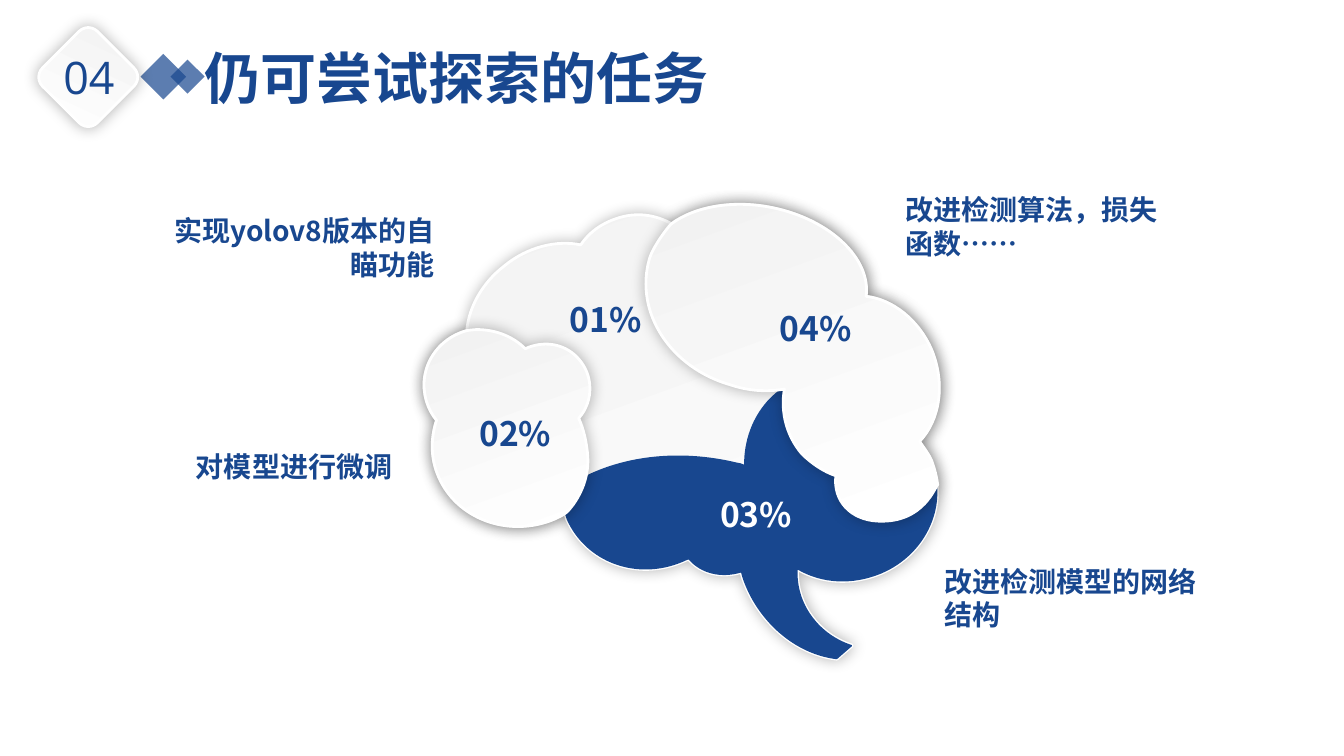
from dataclasses import dataclass

from lxml import etree
from pptx import Presentation
from pptx.dml.color import RGBColor
from pptx.enum.shapes import MSO_SHAPE
from pptx.enum.text import MSO_AUTO_SIZE, PP_ALIGN
from pptx.oxml.ns import qn
from pptx.util import Pt

PX = 9144
RECT, ROUND = MSO_SHAPE.RECTANGLE, MSO_SHAPE.ROUNDED_RECTANGLE
LEFT, MID, RIGHT = PP_ALIGN.LEFT, PP_ALIGN.CENTER, PP_ALIGN.RIGHT
GROW = MSO_AUTO_SIZE.SHAPE_TO_FIT_TEXT


@dataclass(frozen=True)
class Theme:
    blue: str = "18478F"
    white: str = "FFFFFF"
    pale: str = "F2F2F2"
    shade: str = "000000"
    han: str = "Noto Sans CJK SC"
    digit: str = "Noto Sans CJK KR"
    latin: str = "Open Sans"
    title: int = 40
    badge: int = 32
    value: int = 24
    note: int = 20
    edge: int = 2


T = Theme()

VIEW = (419, 198, 523, 456)
LOBE = [(932, 417, 938, 381, 924, 347), (911, 317, 885, 297, 859, 294),
        (864, 257, 824, 218, 766, 206), (727, 198, 689, 205, 666, 222)]
CROWN = [(650, 213, 631, 210, 611, 217), (596, 222, 584, 231, 576, 243),
         (552, 238, 523, 245, 500, 264), (478, 281, 465, 305, 463, 328)]
BROW = [(441, 334, 424, 352, 421, 375), (419, 391, 424, 406, 433, 417),
        (427, 435, 427, 455, 435, 473), (453, 515, 505, 534, 550, 515)]
STEM = [(553, 513, 557, 512, 560, 509), (561, 512, 562, 514, 562, 515),
        (581, 558, 632, 577, 678, 557), (679, 556, 681, 556, 683, 555),
        (695, 569, 715, 574, 735, 568), (737, 576, 740, 583, 744, 591),
        (763, 627, 796, 650, 830, 654), (845, 641, 845, 641, 845, 641),
        (845, 640, 845, 640, 845, 640), (814, 630, 791, 602, 791, 568),
        (791, 567, 791, 566, 791, 565), (815, 579, 845, 581, 874, 569)]
NAPE = [(919, 550, 942, 500, 923, 457), (921, 450, 916, 444, 912, 438)]
FOLD = [(921, 428, 928, 414, 930, 400), (872, 357, 800, 355, 761, 398),
        (746, 415, 738, 437, 738, 461), (736, 460, 733, 459, 731, 459),
        (644, 438, 560, 465, 523, 522), (532, 521, 541, 519, 550, 515)]
CHIN = [(666, 221, 648, 243, 644, 257), (629, 310, 665, 365, 725, 382),
        (743, 388, 761, 389, 778, 386), (774, 409, 780, 432, 795, 450),
        (805, 460, 817, 468, 829, 472), (826, 497, 844, 516, 871, 517),
        (917, 519, 928, 481, 930, 481), (929, 473, 927, 465, 924, 457)]
PUFF = [(589, 398, 589, 372, 573, 355), (559, 340, 538, 338, 521, 346),
        (509, 334, 492, 327, 473, 327), (470, 327, 463, 328, 463, 328)]
CHEEK = [(554, 513, 557, 512, 561, 509), (561, 510, 585, 487, 583, 453),
         (582, 439, 579, 426, 574, 415)]
PARTS = [(LOBE + CROWN + BROW + STEM + NAPE, True),
         (NAPE + FOLD + STEM, False),
         (NAPE[1:] + LOBE + CHIN, True),
         (PUFF + BROW + CHEEK, True)]


def color(code):
    return RGBColor.from_string(code)


def solid(shape, code, alpha=100):
    shape.shadow.inherit = False
    shape.fill.solid()
    shape.fill.fore_color.rgb = color(code)
    shape.line.fill.background()
    if alpha < 100:
        node = shape._element.spPr.find(".//" + qn("a:srgbClr"))
        etree.SubElement(node, qn("a:alpha"), val=str(alpha * 1000))


def gloss(shape):
    shape.shadow.inherit = False
    shape.fill.gradient()
    shape.fill.gradient_angle = 110
    for stop, code, place in zip(shape.fill.gradient_stops, (T.white, T.pale), (0, 1)):
        stop.color.rgb = color(code)
        stop.position = place
    shape.line.color.rgb = color(T.white)
    shape.line.width = Pt(T.edge)
    glow = shape._element.spPr.find(qn("a:effectLst"))
    cast = etree.SubElement(glow, qn("a:outerShdw"), blurRad=str(Pt(11)),
                            dist="0", dir="0", algn="ctr", rotWithShape="0")
    tint = etree.SubElement(cast, qn("a:srgbClr"), val=T.shade)
    etree.SubElement(tint, qn("a:alpha"), val="30000")


def block(slide, kind, box, turn):
    shape = slide.shapes.add_shape(kind, *(n * PX for n in box))
    shape.rotation = turn
    return shape


def write(slide, text, box, size=T.note, font=T.han, ink=T.blue,
          bold=True, align=LEFT, wrap=True):
    frame = slide.shapes.add_textbox(*(n * PX for n in box)).text_frame
    frame.word_wrap = wrap
    frame.auto_size = GROW
    para = frame.paragraphs[0]
    para.alignment = align
    run = para.add_run()
    run.text = text
    run.font.size = Pt(size)
    run.font.bold = bold
    run.font.name = font
    run.font.color.rgb = color(ink)
    east = T.han if font == T.latin else font
    etree.SubElement(run.font._element, qn("a:ea"), typeface=east)


def bend(shape):
    lines = list(shape._element.iter(qn("a:lnTo")))
    for first, second, third in zip(lines[::3], lines[1::3], lines[2::3]):
        curve = etree.Element(qn("a:cubicBezTo"))
        first.addprevious(curve)
        for line in (first, second, third):
            curve.append(line[0])
            line.getparent().remove(line)


def brain(slide, box):
    left, top, width, height = box
    for curves, shiny in PARTS:
        spots = [(round((left + (x - VIEW[0]) * width / VIEW[2]) * PX),
                  round((top + (y - VIEW[1]) * height / VIEW[3]) * PX))
                 for curve in curves for x, y in zip(curve[::2], curve[1::2])]
        pen = slide.shapes.build_freeform(*spots[-1])
        pen.add_line_segments(spots, close=True)
        shape = pen.convert_to_shape()
        bend(shape)
        if shiny:
            gloss(shape)
        else:
            solid(shape, T.blue)
    for text, x, y, ink in [("03%", 282, 287, T.white), ("01%", 133, 94, T.blue),
                            ("02%", 43, 207, T.blue), ("04%", 341, 103, T.blue)]:
        write(slide, text, (left + x, top + y, 98, 50), size=T.value,
              font=T.digit, ink=ink, align=MID)


def head(slide, box):
    left, top, width, height = box
    for x, y, side in [(97, 22, 32), (125, 26, 24)]:
        solid(block(slide, RECT, (left + x, top + y, side, side), 225), T.blue, alpha=70)
    gloss(block(slide, ROUND, (left, top, height, height), 45))
    write(slide, "04", (left + 4, top + 6, 71, 64), size=T.badge,
          font=T.latin, bold=False, wrap=False)
    write(slide, "仍可尝试探索的任务", (left + 144, top, width - 144, height),
          size=T.title, font=T.latin)


def notes(slide, box):
    left, top, width, height = box
    right = left + width - 279
    for text, x, y, tall, align in [
            ("实现yolov8版本的自瞄功能", left + 42, top + 21, 77, RIGHT),
            ("对模型进行微调", left, top + 255, 44, RIGHT),
            ("改进检测算法，损失函数……", right - 39, top, 77, LEFT),
            ("改进检测模型的网络结构", right, top + height - 77, 77, LEFT)]:
        write(slide, text, (x, y, 279, tall), align=align)


def main():
    deck = Presentation()
    deck.slide_width, deck.slide_height = 1333 * PX, 750 * PX
    slide = deck.slides.add_slide(deck.slide_layouts[6])
    brain(slide, VIEW)
    head(slide, (49, 38, 737, 77))
    notes(slide, (120, 186, 1086, 446))
    deck.save("out.pptx")


if __name__ == "__main__":
    main()
